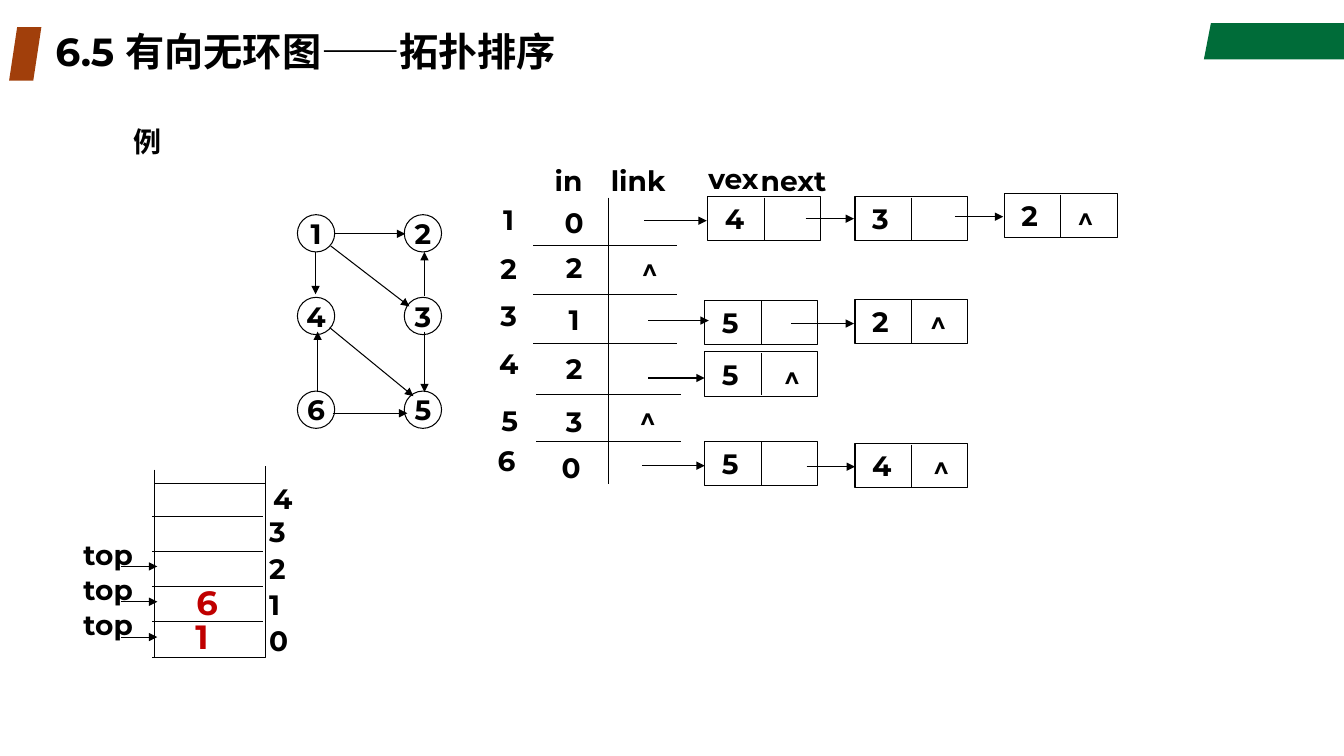
import dataclasses

import pptx
import pptx.dml.color
import pptx.enum.shapes
import pptx.enum.text
import pptx.util
from lxml import etree
from pptx.oxml.ns import qn
from pptx.util import Inches

ALIGN = pptx.enum.text.PP_ALIGN
ANCHOR = pptx.enum.text.MSO_ANCHOR
SHAPE = pptx.enum.shapes.MSO_SHAPE


@dataclasses.dataclass(frozen=True)
class Theme:
    """Colours, font and type sizes of the slide."""
    font: str = "Montserrat"
    ink: str = "000000"
    paper: str = "FFFFFF"
    pushed: str = "C00000"
    green: str = "006C39"
    rust: str = "A13F0B"
    title_size: int = 28
    body_size: int = 20
    pushed_size: int = 24
    line_width: float = 0.75


THEME = Theme()
NODE_SIZE = 0.37
CELL_WIDTH, CELL_HEIGHT = 1.12, 0.44
STACK_STEP = 0.35

GRAPH_NODES = [("1", 2.95, 2.13), ("2", 4.01, 2.13), ("3", 4.01, 2.95),
               ("4", 2.95, 2.95), ("5", 4.01, 3.88), ("6", 2.95, 3.88)]
GRAPH_EDGES = [(3.32, 2.32, 4.02, 2.32), (3.13, 2.5, 3.13, 2.92),
               (3.3, 4.1, 4.04, 4.1), (3.15, 3.89, 3.15, 3.29),
               (4.21, 3.29, 4.21, 3.89), (4.21, 2.94, 4.21, 2.5),
               (3.28, 2.44, 4.06, 3.04), (3.27, 3.25, 4.1, 3.93)]

HEADINGS = [("in", 5.4, 1.57, 0.48), ("link", 5.95, 1.57, 0.76),
            ("vex", 6.91, 1.55, 0.73), ("next", 7.43, 1.57, 0.88)]
VERTEX_LABELS = [("1", 4.85, 1.96), ("2", 4.85, 2.44), ("3", 4.85, 2.91),
                 ("4", 4.85, 3.38), ("5", 4.86, 3.95), ("6", 4.83, 4.35)]
IN_DEGREES = [("0", 5.5, 1.99), ("2", 5.5, 2.43), ("1", 5.5, 2.95),
              ("2", 5.5, 3.43), ("3", 5.5, 3.96), ("0", 5.47, 4.42)]
NULL_MARKS = [("^", 6.25, 2.45), ("^", 6.23, 3.93), ("^", 10.57, 1.95),
              ("^", 9.11, 2.98), ("^", 7.66, 3.52), ("^", 9.14, 4.42)]
ROW_RULES = [(5.29, 2.44, 6.71), (5.29, 2.92, 6.71), (5.29, 3.41, 6.71),
             (5.32, 3.91, 6.75), (5.32, 4.38, 6.75)]
LIST_CELLS = [("4", 7.02, 1.95), ("3", 8.48, 1.95), ("2", 9.96, 1.92),
              ("5", 6.99, 2.98), ("2", 8.48, 2.97), ("5", 6.99, 3.49),
              ("5", 6.99, 4.38), ("4", 8.48, 4.4)]
LIST_LINKS = [(6.39, 2.19, 7.01), (7.99, 2.17, 8.47), (9.47, 2.15, 9.95),
              (6.43, 3.18, 7.03), (7.85, 3.21, 8.47), (6.43, 3.75, 6.99),
              (6.37, 4.62, 6.99), (8, 4.63, 8.48)]


def rgb(code):
    """Turn a hex code into a colour."""
    return pptx.dml.color.RGBColor.from_string(code)


def write_text(shape, text, *, size=THEME.body_size, color=THEME.ink,
               align=ALIGN.LEFT, anchor=ANCHOR.TOP, wrap=True,
               grow=False, spacing=None, inset=0.1):
    """Write one formatted paragraph into a shape."""
    frame = shape.text_frame
    frame.text = text
    frame.word_wrap = wrap
    frame.vertical_anchor = anchor
    frame.margin_left = Inches(inset)
    if grow:
        frame.auto_size = pptx.enum.text.MSO_AUTO_SIZE.SHAPE_TO_FIT_TEXT
    paragraph = frame.paragraphs[0]
    paragraph.alignment = align
    if spacing:
        paragraph.line_spacing = spacing
    font = paragraph.runs[0].font
    font.name = THEME.font
    font.size = pptx.util.Pt(size)
    font.bold = True
    font.color.rgb = rgb(color)


def add_label(slide, text, left, top, width=0.39, height=0.44, **style):
    """Add a text box that fits its single line."""
    box = slide.shapes.add_textbox(*map(Inches, (left, top, width, height)))
    write_text(box, text, grow=True, **{"wrap": False, **style})


def add_centred(slide, text, left, top, width=0.39):
    """Add a label centred both ways."""
    add_label(slide, text, left, top, width,
              align=ALIGN.CENTER, anchor=ANCHOR.MIDDLE)


def paint(shape, fill=None, line=None):
    """Set fill and outline, and drop the shadow."""
    shape.shadow.inherit = False
    if fill:
        shape.fill.solid()
        shape.fill.fore_color.rgb = rgb(fill)
    else:
        shape.fill.background()
    if line:
        shape.line.color.rgb = rgb(line)
        shape.line.width = pptx.util.Pt(THEME.line_width)
    else:
        shape.line.fill.background()


def add_block(slide, kind, left, top, width, height, **paints):
    """Add a painted preset shape."""
    block = slide.shapes.add_shape(kind, *map(Inches, (left, top, width, height)))
    paint(block, **paints)
    return block


def add_line(slide, x1, y1, x2, y2, arrow=False):
    """Add a thin straight line, with an arrowhead if asked."""
    line = slide.shapes.add_connector(
        pptx.enum.shapes.MSO_CONNECTOR.STRAIGHT, *map(Inches, (x1, y1, x2, y2)))
    line.line.color.rgb = rgb(THEME.ink)
    line.line.width = pptx.util.Pt(THEME.line_width)
    if arrow:
        etree.SubElement(line.line._get_or_add_ln(), qn("a:tailEnd"), type="triangle")
    etree.SubElement(line._element.spPr, qn("a:effectLst"))


def add_header(slide):
    """Draw the corner ornaments and the title."""
    outline = slide.shapes.build_freeform(Inches(12.01), Inches(0.23))
    outline.add_line_segments([(Inches(x), Inches(y)) for x, y in
                               ((13.33, 0.23), (13.33, 0.59), (11.94, 0.59))])
    paint(outline.convert_to_shape(), fill=THEME.green)
    add_block(slide, SHAPE.PARALLELOGRAM, 0.09, 0.27, 0.32, 0.53, fill=THEME.rust)
    title = slide.shapes.title
    title.left, title.top, title.width, title.height = map(
        Inches, (0.45, 0.27, 9.45, 0.53))
    write_text(title, "6.5 有向无环图——拓扑排序", size=THEME.title_size,
               anchor=ANCHOR.MIDDLE, spacing=0.9)


def add_stack(slide):
    """Draw the stack with its indices, pointers and pushed vertices."""
    add_block(slide, SHAPE.RECTANGLE, 1.53, 4.8, 1.1, 1.72,
              fill=THEME.paper, line=THEME.ink)
    add_line(slide, 1.53, 4.66, 1.53, 6.51)
    add_line(slide, 2.63, 6.49, 2.63, 4.62)
    for step in range(5):
        rule = 5.12 + step * STACK_STEP
        add_line(slide, 1.51, rule, 2.61, rule)
    add_label(slide, "4", 2.61, 4.73)
    for step, index in enumerate("3210"):
        add_label(slide, index, 2.57, 5.06 + step * 0.36, 0.45, 0.43, wrap=True)
    for step in range(3):
        pointer = 5.62 + step * STACK_STEP
        add_line(slide, 1.2, pointer, 1.56, pointer, arrow=True)
        add_label(slide, "top", 0.73, pointer - 0.34, 0.7)
    for vertex, left, top in (("1", 1.84, 6.06), ("6", 1.85, 5.72)):
        add_label(slide, vertex, left, top, 0.43, 0.51,
                  size=THEME.pushed_size, color=THEME.pushed)


def add_graph(slide):
    """Draw the directed graph."""
    add_label(slide, "例", 1.23, 1.19, 0.4, wrap=True)
    for vertex, left, top in GRAPH_NODES:
        node = add_block(slide, SHAPE.OVAL, left, top, NODE_SIZE, NODE_SIZE,
                         line=THEME.ink)
        write_text(node, vertex, align=ALIGN.CENTER, anchor=ANCHOR.MIDDLE, wrap=False)
    for edge in GRAPH_EDGES:
        add_line(slide, *edge, arrow=True)


def add_adjacency_list(slide):
    """Draw the vertex table and its linked lists."""
    add_line(slide, 6.04, 1.96, 6.04, 4.8)
    for left, y, right in ROW_RULES:
        add_line(slide, left, y, right, y)
    for vertex, left, top in LIST_CELLS:
        cell = add_block(slide, SHAPE.RECTANGLE, left, top, CELL_WIDTH, CELL_HEIGHT,
                         line=THEME.ink)
        write_text(cell, vertex, anchor=ANCHOR.MIDDLE, grow=True, inset=0.17)
        middle = left + CELL_WIDTH / 2
        add_line(slide, middle, top + 0.01, middle, top + CELL_HEIGHT - 0.01)
    for left, y, right in LIST_LINKS:
        add_line(slide, left, y, right, y, arrow=True)
    for label in HEADINGS + VERTEX_LABELS + IN_DEGREES + NULL_MARKS:
        add_centred(slide, *label)


def main():
    """Build and save the slide."""
    deck = pptx.Presentation()
    deck.slide_width, deck.slide_height = Inches(13.33), Inches(7.5)
    slide = deck.slides.add_slide(deck.slide_layouts[5])
    add_header(slide)
    add_stack(slide)
    add_graph(slide)
    add_adjacency_list(slide)
    deck.save("out.pptx")


if __name__ == "__main__":
    main()
